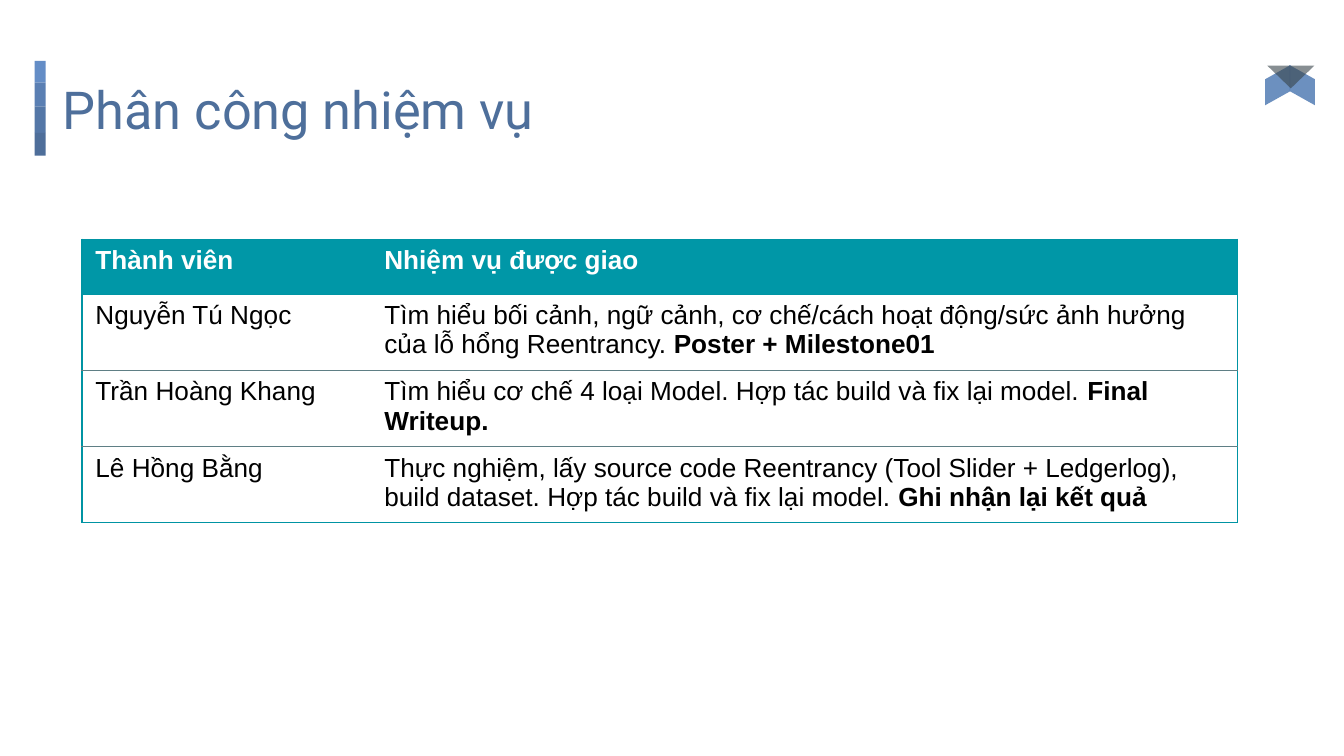
from dataclasses import dataclass
from typing import Any

from lxml import etree
from pptx import Presentation
from pptx import util as u
from pptx.dml import color
from pptx.enum import shapes, text
from pptx.oxml import ns

HUES = {
    "title": "4E6F9B",
    "teal": "0097A7",
    "edge": "0094A3",
    "rule": "5F7F85",
    "wing": "5E85B9",
    "fold": "38444A",
    "white": "FFFFFF",
    "black": "000000",
    "bar1": "648DC6",
    "bar2": "5A7FB3",
    "bar3": "5477A7",
    "bar4": "4E6E9A",
}
KIND = shapes.MSO_SHAPE


@dataclass
class Part:
    kind: Any
    left: float
    top: float
    width: float
    height: float
    hue: str
    turn: int
    skew: float | None = None
    flip: bool = False
    alpha: int = 100


@dataclass
class Task:
    name: str
    work: str
    goal: str


LENGTHS = [0.41, 0.45, 0.5, 0.43]
BAR_MID, BAR_TOP, BAR_WIDE = 0.76, 1.15, 0.21
BARS = []
for i, size in enumerate(LENGTHS):
    mid = BAR_TOP + sum(LENGTHS[:i]) + size / 2
    BARS.append(Part(KIND.RECTANGLE, BAR_MID - size / 2, mid - BAR_WIDE / 2,
                     size, BAR_WIDE, f"bar{i + 1}", 270))

BADGE = [
    Part(KIND.PARALLELOGRAM, 24.23, 1.37, 0.76, 0.48, "wing", 90, 0.56, alpha=91),
    Part(KIND.PARALLELOGRAM, 23.77, 1.37, 0.76, 0.48, "wing", 90, 0.56, True, 91),
    Part(KIND.ISOSCELES_TRIANGLE, 23.95, 1.24, 0.89, 0.43, "fold", 180, 0.5, alpha=60),
]

TASKS = [
    Task("Nguyễn Tú Ngọc",
         "Tìm hiểu bối cảnh, ngữ cảnh, cơ chế/cách hoạt động/sức ảnh hưởng "
         "của lỗ hổng Reentrancy. ", "Poster + Milestone01"),
    Task("Trần Hoàng Khang",
         "Tìm hiểu cơ chế 4 loại Model. Hợp tác build và fix lại model. ",
         "Final Writeup."),
    Task("Lê Hồng Bằng",
         "Thực nghiệm, lấy source code Reentrancy (Tool Slider + Ledgerlog), "
         "build dataset. Hợp tác build và fix lại model. ", "Ghi nhận lại kết quả"),
]


def tint(hue: str) -> color.RGBColor:
    return color.RGBColor.from_string(HUES[hue])


def paint(item: Any, hue: str) -> None:
    item.fill.solid()
    item.fill.fore_color.rgb = tint(hue)


def draw(group: Any, part: Part) -> None:
    box = [u.Cm(n) for n in (part.left, part.top, part.width, part.height)]
    shape = group.shapes.add_shape(part.kind, *box)
    shape.shadow.inherit = False
    shape.rotation = part.turn
    shape.line.fill.background()
    paint(shape, part.hue)
    if part.skew is not None:
        shape.adjustments[0] = part.skew
    if part.flip:
        shape.element.spPr.find(ns.qn("a:xfrm")).set("flipH", "1")
    if part.alpha < 100:
        shade = shape.element.spPr.find(".//" + ns.qn("a:srgbClr"))
        etree.SubElement(shade, ns.qn("a:alpha")).set("val", str(part.alpha * 1000))


def write(para: Any, words: str, hue: str, **style: Any) -> None:
    run = para.add_run()
    run.text = words
    run.font.color.rgb = tint(hue)
    for key, value in style.items():
        setattr(run.font, key, value)


def edge(cell: Any, hues: dict[str, str]) -> None:
    props = cell._tc.get_or_add_tcPr()
    for i, side in enumerate("LRTB"):
        line = etree.Element(ns.qn(f"a:ln{side}"))
        hue = hues.get(side)
        line.set("w", str(u.Pt(0.5 if hue == "rule" else 0.75)))
        if hue:
            fill = etree.SubElement(line, ns.qn("a:solidFill"))
            etree.SubElement(fill, ns.qn("a:srgbClr")).set("val", HUES[hue])
        else:
            etree.SubElement(line, ns.qn("a:noFill"))
        props.insert(i, line)


def fill_grid(slide: Any) -> None:
    rows = [[[("Thành viên", True)], [("Nhiệm vụ được giao", True)]]]
    rows += [[[(t.name, False)], [(t.work, False), (t.goal, True)]] for t in TASKS]
    last = len(rows) - 1
    grid = slide.shapes.add_table(len(rows), 2, u.Cm(1.55), u.Cm(4.52),
                                  u.Cm(21.84), u.Cm(1.04 * len(rows))).table
    grid.first_row = grid.horz_banding = False
    for col, wide in zip(grid.columns, (5.46, 16.38)):
        col.width = u.Cm(wide)
    for r, row in enumerate(rows):
        for c, runs in enumerate(row):
            cell = grid.cell(r, c)
            paint(cell, "white" if r else "teal")
            for words, bold in runs:
                write(cell.text_frame.paragraphs[0], words, "black" if r else "white",
                      name="Arial", size=u.Pt(14), bold=bold)
            edge(cell, {
                "R" if c else "L": "edge",
                "T": "edge" if r < 2 else "rule",
                "B": "edge" if r in (0, last) else "rule",
            })


def main() -> None:
    deck = Presentation()
    deck.slide_width, deck.slide_height = u.Cm(25.4), u.Cm(14.29)
    slide = deck.slides.add_slide(deck.slide_layouts[6])
    for parts in (BARS, BADGE):
        group = slide.shapes.add_group_shape()
        for part in parts:
            draw(group, part)
    frame = slide.shapes.add_textbox(u.Cm(0.94), u.Cm(1.22), u.Cm(23.5), u.Cm(1.6)).text_frame
    look = {"word_wrap": True, "vertical_anchor": text.MSO_ANCHOR.TOP}
    look |= {f"margin_{side}": u.Cm(0.25) for side in ("left", "top", "right", "bottom")}
    for key, value in look.items():
        setattr(frame, key, value)
    write(frame.paragraphs[0], "Phân công nhiệm vụ", "title", name="Roboto", size=u.Pt(28))
    fill_grid(slide)
    deck.save("out.pptx")


if __name__ == "__main__":
    main()
